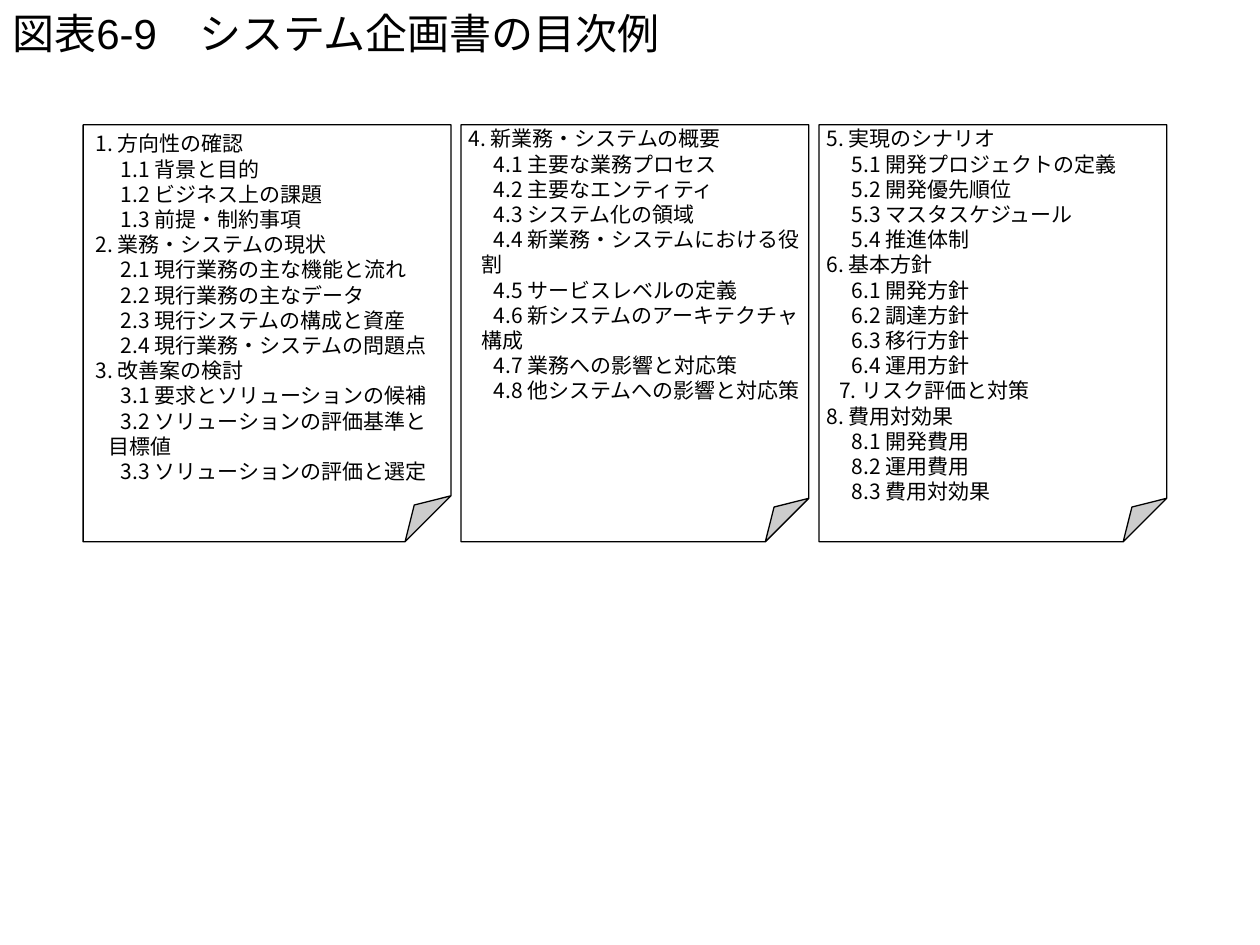
from dataclasses import dataclass

from lxml.etree import SubElement
from pptx import Presentation
from pptx.dml.color import RGBColor
from pptx.enum.lang import MSO_LANGUAGE_ID
from pptx.enum.shapes import MSO_SHAPE
from pptx.enum.text import MSO_ANCHOR, PP_ALIGN
from pptx.oxml.ns import qn
from pptx.util import Inches, Pt

BLACK = RGBColor(0, 0, 0)
WHITE = RGBColor(255, 255, 255)
BODY_FONT = "Noto Sans CJK JP"
SHEET_TOP, SHEET_HEIGHT = 0.99, 3.31


@dataclass
class Chapter:
    number: int
    heading: str
    sections: tuple[str, ...] = ()
    indent: float = -0.1


@dataclass
class Sheet:
    left: float
    width: float
    inset_x: float
    inset_y: float
    chapters: tuple[Chapter, ...]


SHEETS = (
    Sheet(0.66, 2.92, 0.1, 0.05, (
        Chapter(1, "方向性の確認", ("背景と目的", "ビジネス上の課題", "前提・制約事項")),
        Chapter(2, "業務・システムの現状", (
            "現行業務の主な機能と流れ", "現行業務の主なデータ",
            "現行システムの構成と資産", "現行業務・システムの問題点")),
        Chapter(3, "改善案の検討", (
            "要求とソリューションの候補", "ソリューションの評価基準と目標値",
            "ソリューションの評価と選定")),
    )),
    Sheet(3.66, 2.76, 0.06, 0.01, (
        Chapter(4, "新業務・システムの概要", (
            "主要な業務プロセス", "主要なエンティティ", "システム化の領域",
            "新業務・システムにおける役割", "サービスレベルの定義",
            "新システムのアーキテクチャ構成", "業務への影響と対応策",
            "他システムへの影響と対応策")),
    )),
    Sheet(6.5, 2.76, 0.06, 0.01, (
        Chapter(5, "実現のシナリオ", (
            "開発プロジェクトの定義", "開発優先順位", "マスタスケジュール", "推進体制")),
        Chapter(6, "基本方針", ("開発方針", "調達方針", "移行方針", "運用方針")),
        Chapter(7, "リスク評価と対策", indent=0),
        Chapter(8, "費用対効果", ("開発費用", "運用費用", "費用対効果")),
    )),
)


def write(para, text: str, *, size: float, latin: str, asian: str = BODY_FONT) -> None:
    """Add one formatted run to a left-aligned paragraph."""
    para.alignment = PP_ALIGN.LEFT
    span = para.add_run()
    span.text = text
    span.font.size = Pt(size)
    span.font.name = latin
    span.font.color.rgb = BLACK
    span.font.language_id = MSO_LANGUAGE_ID.JAPANESE
    SubElement(span.font._element, qn("a:ea"), typeface=asian)


def set_frame(frame, *, inset_x: float, inset_y: float, anchor: MSO_ANCHOR) -> None:
    frame.word_wrap = True
    frame.vertical_anchor = anchor
    frame.margin_left = frame.margin_right = Inches(inset_x)
    frame.margin_top = frame.margin_bottom = Inches(inset_y)


def outline(chapters: tuple[Chapter, ...]) -> list[tuple[str, float]]:
    """Number the entries and pair each with its first-line indent."""
    entries = []
    for chapter in chapters:
        entries.append((f"{chapter.number}. {chapter.heading}", chapter.indent))
        for index, section in enumerate(chapter.sections, 1):
            entries.append((f"{chapter.number}.{index} {section}", 0.1))
    return entries


def add_sheet(page, sheet: Sheet) -> None:
    box = page.shapes.add_shape(
        MSO_SHAPE.FOLDED_CORNER, Inches(sheet.left), Inches(SHEET_TOP),
        Inches(sheet.width), Inches(SHEET_HEIGHT))
    # Size of the folded corner
    guides = box._element.spPr.find(qn("a:prstGeom")).get_or_add_avLst()
    for guide in list(guides):
        guides.remove(guide)
    SubElement(guides, qn("a:gd"), name="adj", fmla="val 12500")
    box.shadow.inherit = False
    box.fill.solid()
    box.fill.fore_color.rgb = WHITE
    box.line.color.rgb = BLACK
    box.line.width = Pt(0.75)
    frame = box.text_frame
    set_frame(frame, inset_x=sheet.inset_x, inset_y=sheet.inset_y, anchor=MSO_ANCHOR.TOP)
    for index, (text, indent) in enumerate(outline(sheet.chapters)):
        para = frame.add_paragraph() if index else frame.paragraphs[0]
        para.line_spacing = Pt(14.4)
        properties = para._p.get_or_add_pPr()
        properties.set("marL", str(Inches(0.1)))
        properties.set("indent", str(Inches(indent)))
        write(para, text, size=12, latin=BODY_FONT)


deck = Presentation()
deck.slide_width, deck.slide_height = Inches(10), Inches(7.5)
page = deck.slides.add_slide(deck.slide_layouts[6])

# Title
title = page.shapes.add_textbox(Inches(0), Inches(0), Inches(10), Inches(0.52))
set_frame(title.text_frame, inset_x=0.1, inset_y=0.05, anchor=MSO_ANCHOR.MIDDLE)
write(title.text_frame.paragraphs[0], "図表6-9　システム企画書の目次例", size=24, latin="Arial")

# Contents sheets
for sheet in SHEETS:
    add_sheet(page, sheet)

deck.save("out.pptx")
